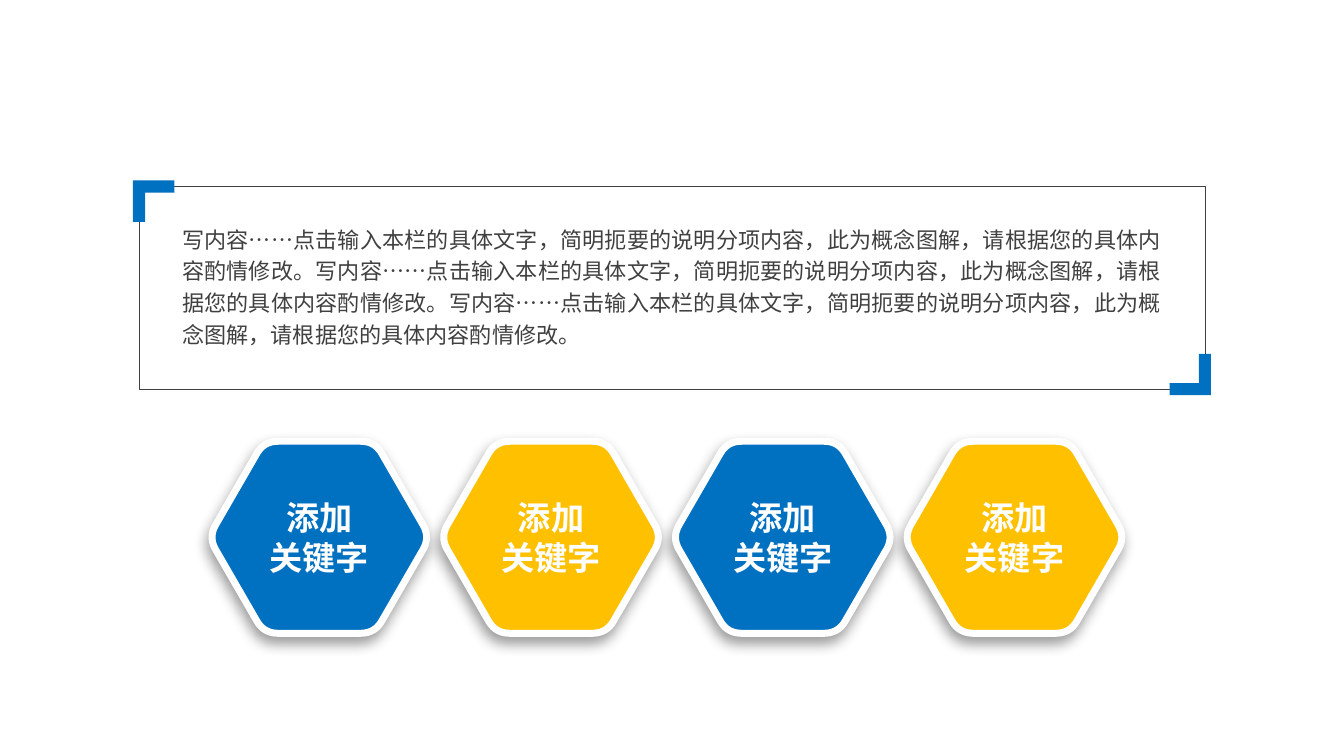
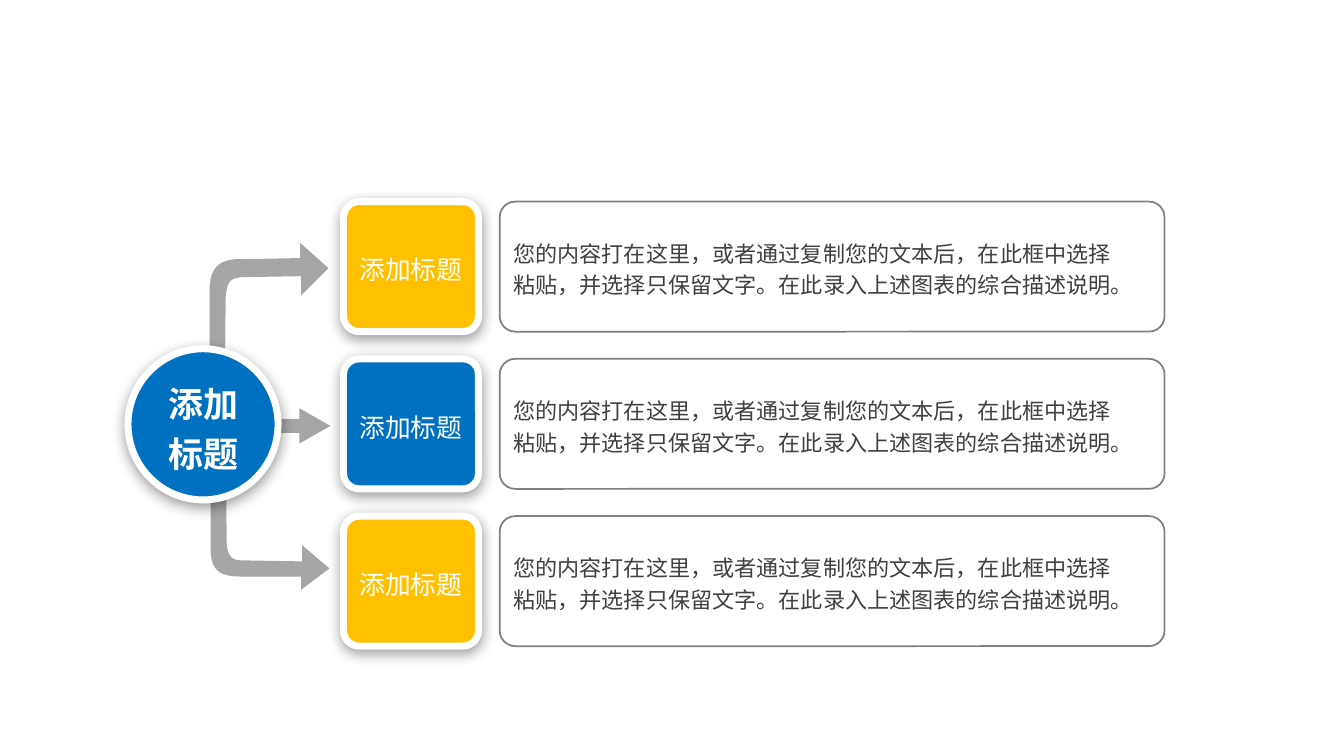
"""Builds two slides: a framed note over four keywords, and a topic branching into three rows."""
import math

from lxml import etree
from pptx import Presentation
from pptx import util as u
from pptx.dml.color import RGBColor
from pptx.enum import lang, shapes, text
from pptx.oxml import ns

BLUE = RGBColor(0x00, 0x70, 0xC0)
AMBER = RGBColor(0xFF, 0xC0, 0x00)
WHITE = RGBColor(0xFF, 0xFF, 0xFF)
DARK = RGBColor(0x40, 0x40, 0x40)
GREY = RGBColor(0x80, 0x80, 0x80)
ARROW = RGBColor(0xA6, 0xA6, 0xA6)
FONT = "Noto Sans CJK SC"
LEFT, CENTER, JUSTIFY = text.PP_ALIGN.LEFT, text.PP_ALIGN.CENTER, text.PP_ALIGN.JUSTIFY
SHAPE = shapes.MSO_SHAPE
PADDED = (0.09, 0.04, 0.09, 0.04)
FLUSH = (0, 0, 0, 0)


def outline(s, points):
    """Draw a closed outline; a point is (x, y) or a cubic curve (x1, y1, x2, y2, x, y)."""
    flat = [points[0]]
    for point in points[1:]:
        if len(point) == 2:
            flat.append(point)
            continue
        nodes = [flat[-1], point[:2], point[2:4], point[4:]]
        for t in (step / 10 for step in range(1, 11)):
            weights = [math.comb(3, k) * t**k * (1 - t) ** (3 - k) for k in range(4)]
            flat.append(tuple(sum(w * n[axis] for w, n in zip(weights, nodes)) for axis in (0, 1)))
    emu = [(u.Inches(x), u.Inches(y)) for x, y in flat]
    builder = s.shapes.build_freeform(*emu[0])
    builder.add_line_segments(emu[1:], close=True)
    return builder.convert_to_shape()


def dress(sp, fill=None, line=None, shadow=None, paras=(), align=CENTER, spacing=1.2,
          insets=PADDED, anchor=text.MSO_ANCHOR.MIDDLE, **font):
    """Apply fill, (colour, width) line, (distance, angle) shadow and text to a shape."""
    if fill is None:
        sp.fill.background()
    else:
        sp.fill.solid()
        sp.fill.fore_color.rgb = fill
    if line is None:
        sp.line.fill.background()
    else:
        sp.line.color.rgb, sp.line.width = line[0], u.Pt(line[1])
    if sp.shape_type != shapes.MSO_SHAPE_TYPE.TEXT_BOX:
        sp.shadow.inherit = False
    if shadow:
        effects = sp._element.spPr.find(ns.qn("a:effectLst"))
        outer = etree.SubElement(effects, ns.qn("a:outerShdw"), blurRad=str(u.Pt(10)),
                                 dist=str(u.Pt(shadow[0])), dir=str(shadow[1] * 60000),
                                 algn="ctr", rotWithShape="0")
        black = etree.SubElement(outer, ns.qn("a:srgbClr"), val="000000")
        etree.SubElement(black, ns.qn("a:alpha"), val="40000")
    if not paras:
        return
    tf = sp.text_frame
    tf.word_wrap, tf.vertical_anchor = True, anchor
    for side, inset in zip(("left", "top", "right", "bottom"), insets):
        setattr(tf, f"margin_{side}", u.Inches(inset))
    color = font.pop("color")
    values = {"name": FONT, "language_id": lang.MSO_LANGUAGE_ID.SIMPLIFIED_CHINESE, **font}
    for i, words in enumerate(paras):
        p = tf.paragraphs[0] if i == 0 else tf.add_paragraph()
        p.alignment, p.line_spacing = align, spacing
        r = p.add_run()
        r.text = words
        for key, value in values.items():
            setattr(r.font, key, value)
        r.font.color.rgb = color
        etree.SubElement(r.font._element, ns.qn("a:ea"), typeface=FONT)


prs = Presentation()
prs.slide_width, prs.slide_height = u.Inches(13.34), u.Inches(7.5)
blank = prs.slide_layouts[6]

s = prs.slides.add_slide(blank)
left, top, width, height = 1.38, 1.85, 10.58, 2.01
frame = s.shapes.add_shape(SHAPE.RECTANGLE, *map(u.Inches, (left, top, width, height)))
dress(frame, line=(DARK, 0.25))

note = "写内容……点击输入本栏的具体文字，简明扼要的说明分项内容，此为概念图解，请根据您的具体内容酌情修改。"
sp = s.shapes.add_textbox(*map(u.Inches, (1.81, 2.19, 9.73, 1.28)))
dress(sp, paras=[note * 3], align=JUSTIFY, insets=FLUSH, anchor=text.MSO_ANCHOR.TOP,
      size=u.Pt(15.8), color=DARK)

arm, thick, overhang = 0.41, 0.12, 0.06
bracket = [(0, 0), (arm, 0), (arm, thick), (thick, thick), (thick, arm), (0, arm)]
for x, y, sign in ((left, top, 1), (left + width, top + height, -1)):
    sp = outline(s, [(x + sign * (dx - overhang), y + sign * (dy - overhang)) for dx, dy in bracket])
    dress(sp, fill=BLUE)

radius, trim, pitch = 1.1, 0.14, 2.3
hexagon = [(radius * math.cos(k * math.pi / 3), radius * math.sin(k * math.pi / 3)) for k in range(6)]
for i, fill in enumerate((BLUE, AMBER) * 2):
    cx, cy = 3.17 + i * pitch, 5.33
    points = []
    for k, (vx, vy) in enumerate(hexagon):
        before, after = hexagon[k - 1], hexagon[(k + 1) % 6]
        start, ctrl1, ctrl2, end = [
            (cx + vx + (nx - vx) * cut / radius, cy + vy + (ny - vy) * cut / radius)
            for (nx, ny), cut in ((before, trim), (before, trim / 3), (after, trim / 3), (after, trim))]
        points += [start, ctrl1 + ctrl2 + end]
    dress(outline(s, points), fill=fill, line=(WHITE, 5), shadow=(5, 110), paras=["添加", "关键字"],
          spacing=1.0, insets=FLUSH, size=u.Pt(23.7), color=WHITE, bold=True)

s = prs.slides.add_slide(blank)
down_arrow = [(2.24, 4.4), (2.25, 5.38), (2.26, 5.55, 2.32, 5.56, 2.42, 5.56), (3, 5.57), (3, 5.41),
              (3.27, 5.64), (2.99, 5.85), (2.99, 5.72), (2.99, 5.72, 2.6, 5.72, 2.38, 5.72),
              (2.16, 5.72, 2.09, 5.64, 2.09, 5.44), (2.09, 4.38), (2.11, 4.21, 2.21, 4.23, 2.24, 4.4)]
up_arrow = [(2.23, 4.1), (2.24, 2.96), (2.25, 2.76, 2.31, 2.76, 2.41, 2.75), (2.99, 2.74), (2.99, 2.93),
            (3.26, 2.66), (2.98, 2.41), (2.98, 2.56), (2.98, 2.56, 2.59, 2.57, 2.38, 2.57),
            (2.16, 2.57, 2.08, 2.67, 2.08, 2.89), (2.08, 4.12), (2.11, 4.32, 2.2, 4.3, 2.23, 4.1)]
for points in (down_arrow, up_arrow):
    dress(outline(s, points), fill=ARROW)
sp = s.shapes.add_shape(SHAPE.RIGHT_ARROW, *map(u.Inches, (1.87, 4.05, 1.41, 0.35)))
sp.adjustments[0], sp.adjustments[1] = 0.4, 0.88
dress(sp, fill=ARROW)

lines = ["您的内容打在这里，或者通过复制您的文本后，在此框中选择",
         "粘贴，并选择只保留文字。在此录入上述图表的综合描述说明。"]
row_top, row_pitch, row_height = 2, 1.56, 1.29
for i, fill in enumerate((AMBER, BLUE, AMBER)):
    y = row_top + i * row_pitch
    box, tile = [s.shapes.add_shape(SHAPE.ROUNDED_RECTANGLE, *map(u.Inches, (x, y, w, row_height)))
                 for x, w in ((4.96, 6.6), (3.41, 1.34))]
    box.adjustments[0] = tile.adjustments[0] = 0.12
    dress(box, line=(GREY, 1.25), paras=lines, align=LEFT, size=u.Pt(15.8), color=DARK)
    dress(tile, fill=fill, line=(WHITE, 5), shadow=(3, 90), paras=["添加标题"],
          size=u.Pt(18.4), color=WHITE)

topic = s.shapes.add_shape(SHAPE.OVAL, *map(u.Inches, (1.27, 3.46, 1.49, 1.5)))
dress(topic, fill=BLUE, line=(WHITE, 5), shadow=(3, 90), paras=["添加标题"],
      size=u.Pt(25), color=WHITE, bold=True)

prs.save("out.pptx")
